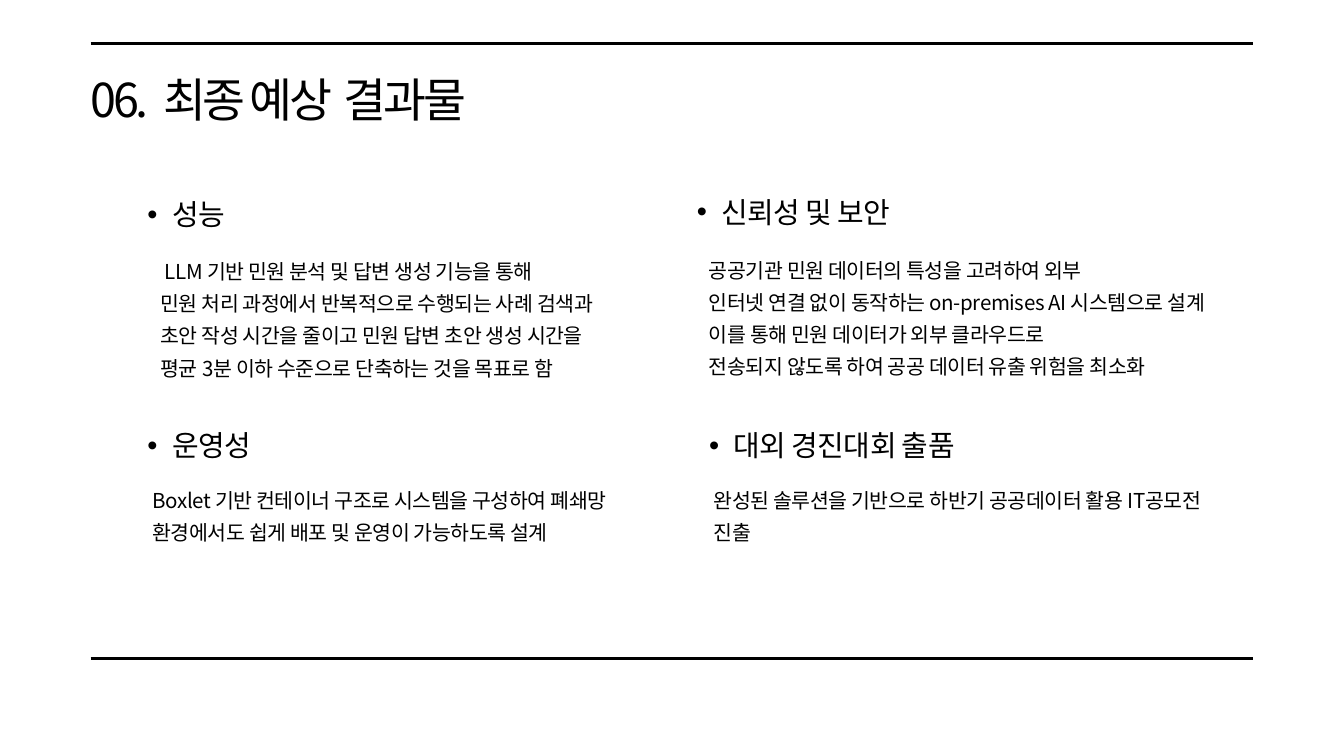
from dataclasses import dataclass

from lxml.etree import SubElement
from pptx import Presentation
from pptx.dml.color import RGBColor
from pptx.enum.shapes import MSO_CONNECTOR
from pptx.enum.text import MSO_ANCHOR, MSO_AUTO_SIZE, PP_ALIGN
from pptx.oxml.ns import qn
from pptx.util import Pt

FONT = "Noto Sans CJK KR"
INK = "000000"
WIDTH, HEIGHT = 1440, 810
EDGE = 97


@dataclass
class Style:
    size: float
    line: float
    track: float
    bullet: bool = False


@dataclass
class Topic:
    head: str
    head_box: tuple[float, float, float, float]
    lines: list[str]
    body_box: tuple[float, float, float, float]


TITLE = Style(50, 48.5, -3.5)
HEAD = Style(31, 48.7, -0.6, bullet=True)
BODY = Style(22, 34.5, -0.4)

TOPICS = [
    Topic("성능", (132, 199.5, 286, 46), [
        " LLM 기반 민원 분석 및 답변 생성 기능을 통해",
        "민원 처리 과정에서 반복적으로 수행되는 사례 검색과",
        "초안 작성 시간을 줄이고 민원 답변 초안 생성 시간을",
        "평균 3분 이하 수준으로 단축하는 것을 목표로 함",
    ], (172, 269.3, 522, 172)),
    Topic("신뢰성 및 보안", (720.7, 196.6, 252, 46), [
        "공공기관 민원 데이터의 특성을 고려하여 외부",
        "인터넷 연결 없이 동작하는 on-premises AI 시스템으로 설계",
        "이를 통해 민원 데이터가 외부 클라우드로",
        "전송되지 않도록 하여 공공 데이터 유출 위험을 최소화",
    ], (759.6, 267.8, 534, 172)),
    Topic("운영성", (132, 447, 286, 46), [
        "Boxlet 기반 컨테이너 구조로 시스템을 구성하여 폐쇄망",
        "환경에서도 쉽게 배포 및 운영이 가능하도록 설계",
    ], (163.4, 514.8, 543.6, 103)),
    Topic("대외 경진대회 출품", (733.7, 447, 361.4, 46), [
        "완성된 솔루션을 기반으로 하반기 공공데이터 활용 IT공모전",
        "진출",
    ], (764.6, 514.8, 543.6, 137.5)),
]


def color(code: str) -> RGBColor:
    return RGBColor.from_string(code)


def format_par(par, style: Style) -> None:
    par.alignment = PP_ALIGN.LEFT
    par.line_spacing = Pt(style.line)
    par.space_before = Pt(0)
    if style.bullet:
        props = par._p.get_or_add_pPr()
        props.set("marL", str(Pt(52.6)))
        props.set("indent", str(Pt(-26.6)))
        SubElement(props, qn("a:buFont"), typeface="Arial")
        SubElement(props, qn("a:buChar"), char="•")
    font = par.font
    font.size = Pt(style.size)
    font.bold = False
    font.color.rgb = color(INK)
    font.name = FONT
    font._element.set("spc", str(round(style.track * 100)))
    SubElement(font._element, qn("a:ea"), typeface=FONT)


def fill_text(shape, box: tuple, lines: list[str], style: Style) -> None:
    """Place a shape and write one paragraph per line."""
    shape.left, shape.top, shape.width, shape.height = map(Pt, box)
    frame = shape.text_frame
    frame.word_wrap = True
    frame.auto_size = MSO_AUTO_SIZE.NONE
    frame.vertical_anchor = MSO_ANCHOR.TOP
    frame.margin_left = frame.margin_right = Pt(0)
    frame.margin_top = frame.margin_bottom = Pt(0)
    frame.text = "\n".join(lines)
    for par in frame.paragraphs:
        format_par(par, style)


def draw_rule(slide, y: float) -> None:
    rule = slide.shapes.add_connector(
        MSO_CONNECTOR.STRAIGHT, Pt(EDGE), Pt(y), Pt(WIDTH - EDGE), Pt(y))
    rule.line.color.rgb = color(INK)
    rule.line.width = Pt(3)
    SubElement(rule._element.spPr, qn("a:effectLst"))


def main() -> None:
    deck = Presentation()
    deck.slide_width, deck.slide_height = Pt(WIDTH), Pt(HEIGHT)
    layout = deck.slide_layouts.get_by_name("Comparison")
    slide = deck.slides.add_slide(layout)
    title, *heads = slide.placeholders

    for y in (46.8, 705.6):
        draw_rule(slide, y)
    fill_text(title, (EDGE, 87.8, 461, 52.6), ["06.  최종 예상  결과물"], TITLE)
    for head, topic in zip(heads, TOPICS):
        fill_text(head, topic.head_box, [topic.head], HEAD)
        body = slide.shapes.add_textbox(*map(Pt, topic.body_box))
        fill_text(body, topic.body_box, topic.lines, BODY)
    deck.save("out.pptx")


if __name__ == "__main__":
    main()
